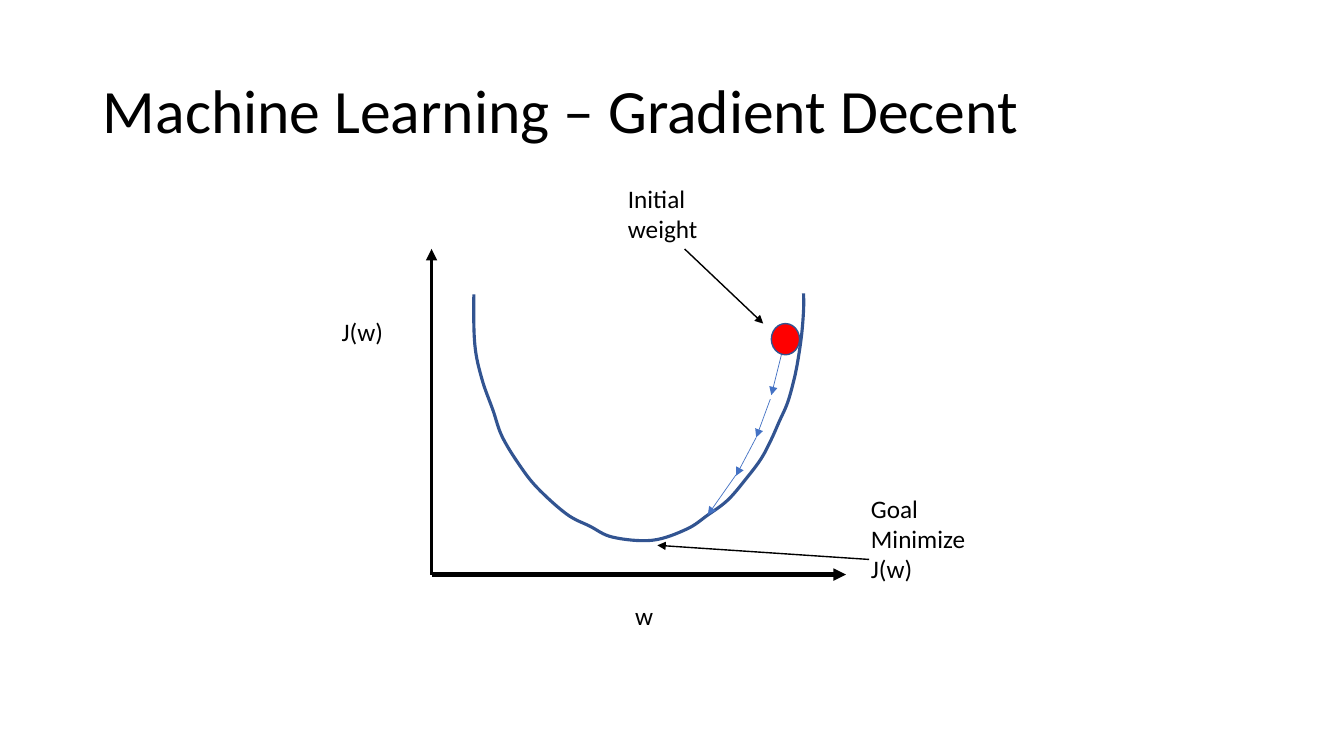
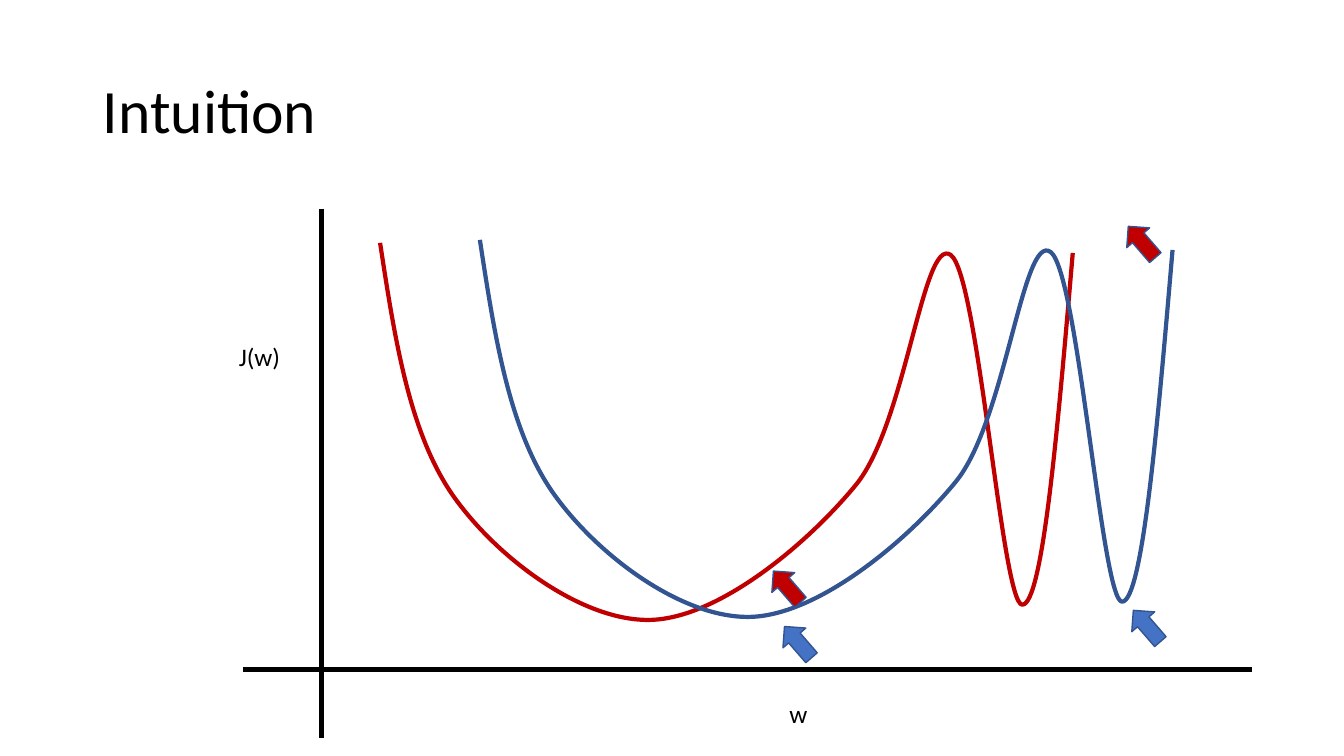
from dataclasses import dataclass

from lxml import etree
from pptx import Presentation
from pptx.dml.color import RGBColor
from pptx.enum.shapes import MSO_CONNECTOR, MSO_SHAPE
from pptx.enum.text import MSO_ANCHOR, MSO_AUTO_SIZE, PP_ALIGN
from pptx.oxml.ns import qn
from pptx.util import Inches, Pt

STRAIGHT = MSO_CONNECTOR.STRAIGHT
OVAL, ARROW = MSO_SHAPE.OVAL, MSO_SHAPE.RIGHT_ARROW
MIDDLE, LEFT = MSO_ANCHOR.MIDDLE, PP_ALIGN.LEFT
FIT, FIXED = MSO_AUTO_SIZE.SHAPE_TO_FIT_TEXT, MSO_AUTO_SIZE.NONE
TITLE_ONLY = 5


@dataclass(frozen=True)
class Theme:
    font: str = "Calibri"
    title: int = 44
    label: int = 18
    ink: str = "000000"
    blue: str = "4472C4"
    navy: str = "325491"
    crimson: str = "C00000"
    red: str = "FF0000"


def halfway(p, q):
    return tuple((a + b) / 2 for a, b in zip(p, q))


def spline(knots):
    """Return two handles and an end for each piece of a smooth curve."""
    slopes = [tuple((b - a) / 6 for a, b in zip(p, q))
              for p, q in zip(knots, knots[2:])]
    before = [tuple(a - s for a, s in zip(p, slope))
              for p, slope in zip(knots[1:], slopes)]
    after = [tuple(a + s for a, s in zip(p, slope))
             for p, slope in zip(knots[1:], slopes)]
    # An end piece bends halfway towards its only inner handle.
    outs = [halfway(knots[0], before[0])] + after
    ins = before + [halfway(after[-1], knots[-1])]
    return list(zip(outs, ins, knots[1:]))


class Deck:
    def __init__(self, theme):
        self.theme = theme
        self.prs = Presentation()
        self.prs.slide_width = Inches(13.33)
        self.prs.slide_height = Inches(7.5)
        self.slide = None

    def style(self, par, size):
        par.alignment = LEFT
        par.font.name = self.theme.font
        par.font.size = Pt(size)
        par.font.color.rgb = RGBColor.from_string(self.theme.ink)

    def stroke(self, shape, color, width):
        shape.line.color.rgb = RGBColor.from_string(color)
        shape.line.width = Pt(width)

    def start(self, text):
        """Add a slide with a title."""
        layout = self.prs.slide_layouts[TITLE_ONLY]
        self.slide = self.prs.slides.add_slide(layout)
        title = self.slide.shapes.title
        title.left, title.top = Inches(0.92), Inches(0.4)
        title.width, title.height = Inches(11.5), Inches(1.45)
        frame = title.text_frame
        frame.text = text
        frame.auto_size = FIXED
        frame.vertical_anchor = MIDDLE
        par = frame.paragraphs[0]
        par.line_spacing = 0.9
        self.style(par, self.theme.title)

    def label(self, left, top, width, height, text):
        box = self.slide.shapes.add_textbox(
            Inches(left), Inches(top), Inches(width), Inches(height))
        frame = box.text_frame
        frame.text = text
        frame.word_wrap = False
        frame.auto_size = FIT
        for par in frame.paragraphs:
            self.style(par, self.theme.label)

    def line(self, start, end, color, width, head=True):
        con = self.slide.shapes.add_connector(
            STRAIGHT, *map(Inches, start + end))
        self.stroke(con, color, width)
        if head:
            etree.SubElement(con.get_or_add_ln(), qn("a:tailEnd"),
                             type="triangle")
        etree.SubElement(con._element.spPr, qn("a:effectLst"))

    def curve(self, knots, color, width):
        """Draw a freeform through the knots, with Bezier pieces."""
        points = [tuple(map(Inches, p)) for p in knots]
        pen = self.slide.shapes.build_freeform(*points[0])
        pen.add_line_segments(points[1:], close=False)
        shape = pen.convert_to_shape()
        shape.shadow.inherit = False
        shape.fill.background()
        self.stroke(shape, color, width)
        sides = list(shape._element.iter(qn("a:lnTo")))
        for side, piece in zip(sides, spline(points)):
            bend = etree.Element(qn("a:cubicBezTo"))
            for x, y in piece:
                etree.SubElement(bend, qn("a:pt"),
                                 x=str(round(x - shape.left)),
                                 y=str(round(y - shape.top)))
            side.getparent().replace(side, bend)

    def shape(self, kind, left, top, width, height, fill, turn=0):
        shape = self.slide.shapes.add_shape(
            kind, Inches(left), Inches(top), Inches(width), Inches(height))
        shape.shadow.inherit = False
        shape.rotation = turn
        shape.fill.solid()
        shape.fill.fore_color.rgb = RGBColor.from_string(fill)
        self.stroke(shape, self.theme.navy, 1)


def descent(deck):
    look = deck.theme
    deck.start("Machine Learning – Gradient Decent")
    origin = (4.28, 5.7)
    deck.line(origin, (4.28, 2.47), look.ink, 2.75)
    deck.line(origin, (8.39, 5.7), look.ink, 3)
    bowl = [
        (4.7, 2.92), (4.71, 3.42), (4.78, 3.76), (4.89, 4.07), (4.98, 4.33),
        (5.15, 4.61), (5.33, 4.84), (5.62, 5.1), (5.85, 5.22), (6.08, 5.33),
        (6.47, 5.36), (6.81, 5.25), (7.02, 5.11), (7.22, 4.96), (7.4, 4.75),
        (7.55, 4.55), (7.65, 4.36), (7.73, 4.18), (7.81, 4), (7.87, 3.79),
        (7.91, 3.6), (7.95, 3.33), (7.97, 3.08), (7.97, 2.91)]
    deck.curve(bowl, look.navy, 2.25)
    deck.label(3.29, 3.09, 0.62, 0.4, "J(w)")
    deck.label(6.2, 5.91, 0.38, 0.4, "w")
    deck.shape(OVAL, 7.65, 3.21, 0.28, 0.31, look.red)
    hops = [((7.75, 3.52), (7.65, 3.92)), ((7.64, 3.96), (7.5, 4.34)),
            ((7.5, 4.34), (7.3, 4.72)), ((7.3, 4.71), (7.02, 5.11))]
    for start, end in hops:
        deck.line(start, end, look.blue, 0.5)
    deck.line((6.79, 2.47), (7.57, 3.21), look.ink, 1)
    deck.label(6.13, 1.77, 0.9, 0.71, "Initial\nweight")
    deck.line((8.62, 5.55), (6.52, 5.41), look.ink, 1)
    deck.label(8.54, 4.84, 1.2, 1.01, "Goal\nMinimize\nJ(w)")


def intuition(deck):
    look = deck.theme
    deck.start("Intuition")
    wave = [(3.77, 2.41), (4.51, 4.94), (6.46, 6.15), (8.49, 4.81),
            (9.43, 2.53), (10.14, 6), (10.64, 2.51)]
    deck.curve(wave, look.crimson, 3)
    deck.curve([(x + 0.99, y - 0.03) for x, y in wave], look.navy, 3)
    deck.line((3.19, 2.07), (3.19, 7.32), look.ink, 3.25, head=False)
    deck.line((12.42, 6.64), (2.41, 6.64), look.ink, 3.25, head=False)
    marks = [(7.71, 6.22, look.blue), (11.17, 6.06, look.blue),
             (7.6, 5.67, look.crimson), (11.12, 2.25, look.crimson)]
    for left, top, fill in marks:
        deck.shape(ARROW, left, top, 0.41, 0.3, fill, turn=229.1)
    deck.label(2.27, 3.34, 0.62, 0.4, "J(w)")
    deck.label(7.73, 6.88, 0.38, 0.4, "w")


def main():
    deck = Deck(Theme())
    descent(deck)
    intuition(deck)
    deck.prs.save("out.pptx")


if __name__ == "__main__":
    main()
